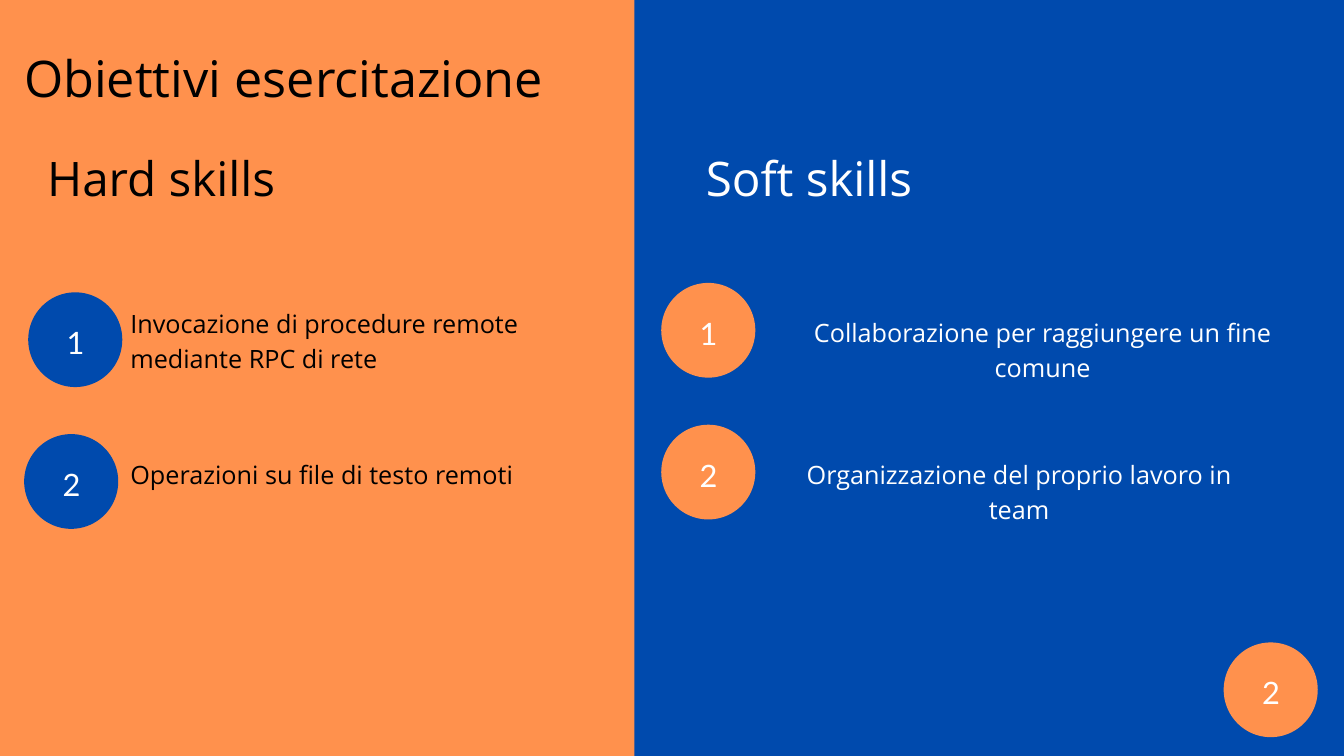
from pptx import Presentation
from pptx.dml.color import RGBColor
from pptx.enum.shapes import MSO_SHAPE
from pptx.enum.text import MSO_AUTO_SIZE, PP_ALIGN
from pptx.util import Inches, Pt

RECTANGLE, OVAL = MSO_SHAPE.RECTANGLE, MSO_SHAPE.OVAL
LEFT, CENTER = PP_ALIGN.LEFT, PP_ALIGN.CENTER
GROW = MSO_AUTO_SIZE.SHAPE_TO_FIT_TEXT

COLORS = {"orange": "FF914D", "blue": "004AAD", "black": "000000", "white": "FFFFFF"}
COLUMNS, ROWS = 20, 11.25

# Text styles: font, size, line spacing (points)
STYLES = {
    "title": ("Open Sans", 54, 75),
    "heading": ("Open Sans", 51, 72),
    "body": ("Open Sans", 27, 38),
    "number": ("Lato", 33, 47),
}


class SlideBuilder:
    """Draws on one slide; boxes are (left, top, width, height) in grid columns and rows."""

    def __init__(self, presentation):
        self.column = presentation.slide_width / COLUMNS
        self.row = presentation.slide_height / ROWS
        self.slide = presentation.slides.add_slide(presentation.slide_layouts[6])

    def place(self, box):
        units = (self.column, self.row) * 2
        return [round(length * unit) for length, unit in zip(box, units)]

    def paint(self, fill, color):
        fill.solid()
        fill.fore_color.rgb = RGBColor.from_string(COLORS[color])

    def background(self, color):
        self.paint(self.slide.background.fill, color)

    def shape(self, kind, box, color, shapes=None):
        shape = (shapes or self.slide.shapes).add_shape(kind, *self.place(box))
        shape.shadow.inherit = False
        self.paint(shape.fill, color)
        shape.line.fill.background()

    def text(self, text, box, style, color, alignment=LEFT, shapes=None):
        font_name, size, spacing = STYLES[style]
        frame = (shapes or self.slide.shapes).add_textbox(*self.place(box)).text_frame
        frame.margin_left = frame.margin_top = frame.margin_right = frame.margin_bottom = 0
        frame.word_wrap = True
        frame.auto_size = GROW
        frame.text = text
        paragraph = frame.paragraphs[0]
        paragraph.alignment = alignment
        paragraph.line_spacing = Pt(spacing)
        font = paragraph.runs[0].font
        font.name, font.size = font_name, Pt(size)
        font.color.rgb = RGBColor.from_string(COLORS[color])

    def badge(self, number, left, top, color):
        """A numbered circle, grouped with its number."""
        shapes = self.slide.shapes.add_group_shape().shapes
        self.shape(OVAL, (left, top, 1.4, 1.41), color, shapes)
        self.text(number, (left + 0.57, top + 0.37, 0.27, 0.63), "number", "white", CENTER, shapes)


def main():
    presentation = Presentation()
    presentation.slide_width, presentation.slide_height = Inches(COLUMNS), Inches(ROWS)
    builder = SlideBuilder(presentation)

    # Two-colour backdrop
    builder.background("orange")
    builder.shape(RECTANGLE, (9.44, 0, 10.56, ROWS), "blue")

    # Title and column headings
    builder.text("Obiettivi esercitazione", (0.36, 0.56, 8.83, 1.01), "title", "black")
    builder.text("Hard skills", (0.67, 2.06, 3.46, 0.96), "heading", "black", CENTER)
    builder.text("Soft skills", (10, 2.06, 4.08, 0.96), "heading", "white", CENTER)

    # Numbered circles, the last one for the page
    for number, left, top, color in (
        ("1", 0.42, 4.35, "blue"),
        ("2", 0.36, 6.46, "blue"),
        ("1", 9.84, 4.21, "orange"),
        ("2", 9.84, 6.32, "orange"),
        ("2", 18.21, 9.56, "orange"),
    ):
        builder.badge(number, left, top, color)

    # Skill descriptions
    for text, box, color, alignment in (
        ("Invocazione di procedure remote mediante RPC di rete", (1.94, 4.51, 7, 1.04), "black", LEFT),
        ("Operazioni su file di testo remoti", (1.94, 6.75, 6.18, 0.51), "black", LEFT),
        ("Collaborazione per raggiungere un fine comune", (11.41, 4.64, 8.21, 0.51), "white", CENTER),
        ("Organizzazione del proprio lavoro in team", (11.56, 6.75, 7.21, 0.51), "white", CENTER),
    ):
        builder.text(text, box, "body", color, alignment)

    presentation.save("out.pptx")


if __name__ == "__main__":
    main()
